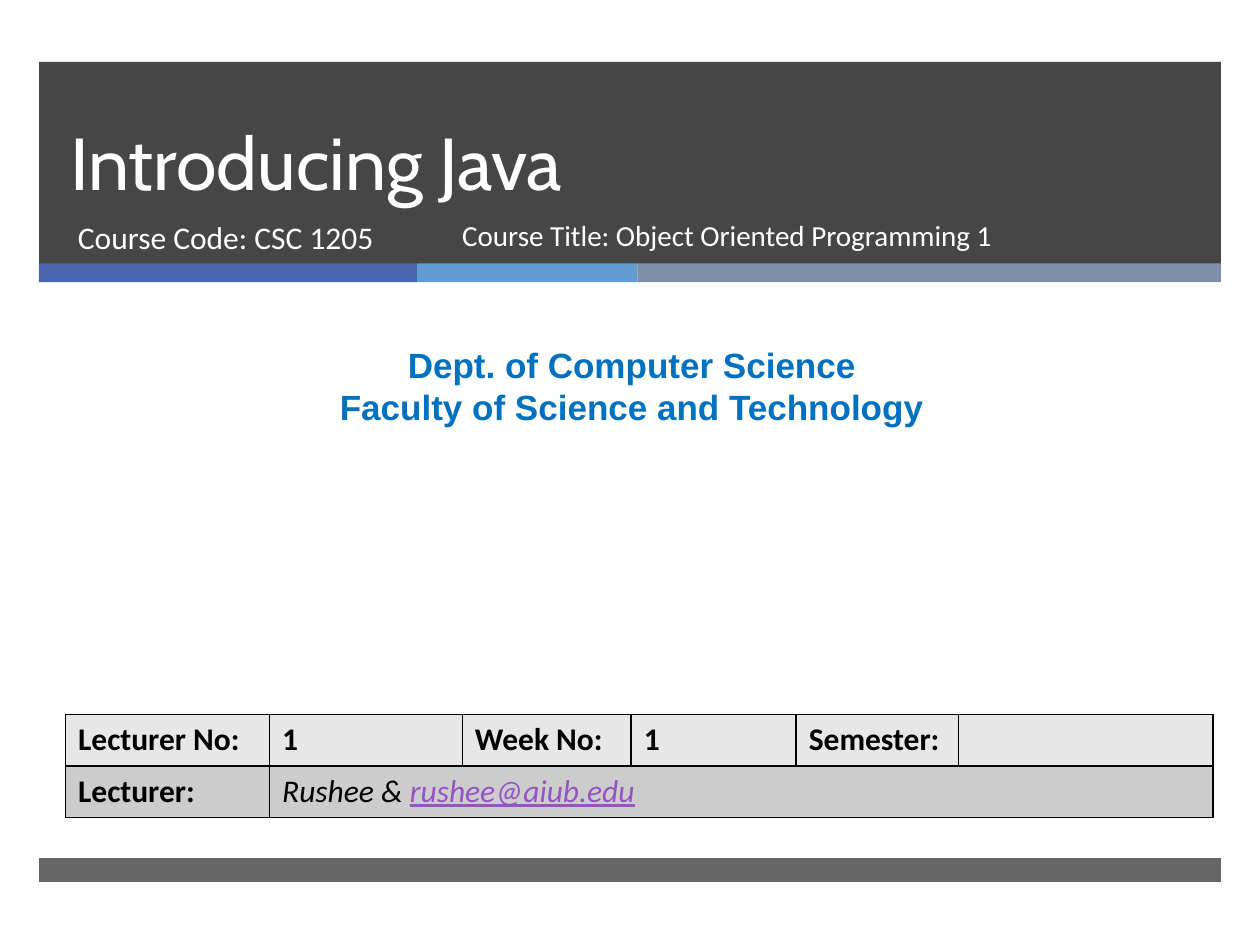
import pptx
import pptx.dml.color
import pptx.enum.shapes
import pptx.enum.text
import pptx.oxml
import pptx.oxml.ns
import pptx.util
from pptx.dml.color import RGBColor
from pptx.util import Inches

WHITE = RGBColor(0xFF, 0xFF, 0xFF)
BLACK = RGBColor(0x00, 0x00, 0x00)
CHARCOAL = RGBColor(0x26, 0x26, 0x26)
NAVY = RGBColor(0x4A, 0x66, 0xAC)
SKY = RGBColor(0x62, 0x9D, 0xD1)
SLATE = RGBColor(0x7F, 0x8F, 0xA9)
DEPT_BLUE = RGBColor(0x00, 0x70, 0xC0)
MAIL_PURPLE = RGBColor(0x94, 0x54, 0xC3)
ROW_FILLS = [RGBColor(0xE7, 0xE7, 0xE7), RGBColor(0xCC, 0xCC, 0xCC)]

LEFT, WIDTH = 0.31, 9.38
COLUMN_WIDTHS = [1.62, 1.53, 1.34, 1.31, 1.29, 2.02]
ROW_HEIGHT = 0.41
ROWS = [
    ["Lecturer No:", "1", "Week No:", "1", "Semester:", ""],
    ["Lecturer:"],
]


def add_band(s, left, top, width, height, color, opacity=100):
    band = s.shapes.add_shape(
        pptx.enum.shapes.MSO_SHAPE.RECTANGLE,
        Inches(left), Inches(top), Inches(width), Inches(height))
    band.shadow.inherit = False
    band.line.fill.background()
    band.fill.solid()
    band.fill.fore_color.rgb = color
    if opacity < 100:
        clr = band.fill._xPr.find(".//" + pptx.oxml.ns.qn("a:srgbClr"))
        clr.append(pptx.oxml.parse_xml(
            f'<a:alpha {pptx.oxml.ns.nsdecls("a")} val="{opacity * 1000}"/>'))


def style(font, name, size, color, bold=False):
    font.name, font.size, font.bold = name, pptx.util.Pt(size), bold
    font.color.rgb = color


def add_text(s, box, lines, name, size, color, bold=False, align=None):
    """Add a wrapped text box with one paragraph per line."""
    tf = s.shapes.add_textbox(*map(Inches, box)).text_frame
    tf.word_wrap = True
    tf.text = "\n".join(lines)
    for p in tf.paragraphs:
        p.alignment = align
        style(p.font, name, size, color, bold)
    return tf


def add_borders(cell):
    """Put a thin black line on each side, ahead of the cell's fill."""
    tcPr = cell._tc.get_or_add_tcPr()
    for i, side in enumerate(("lnL", "lnR", "lnT", "lnB")):
        tcPr.insert(i, pptx.oxml.parse_xml(
            f'<a:{side} {pptx.oxml.ns.nsdecls("a")} w="12700"><a:solidFill>'
            f'<a:srgbClr val="{BLACK}"/></a:solidFill></a:{side}>'))


def add_lecture_table(s):
    table = s.shapes.add_table(
        len(ROWS), len(COLUMN_WIDTHS), Inches(0.52), Inches(5.67),
        Inches(sum(COLUMN_WIDTHS)), Inches(ROW_HEIGHT * len(ROWS))).table
    for column, width in zip(table.columns, COLUMN_WIDTHS):
        column.width = Inches(width)
    for row, fill, texts in zip(table.rows, ROW_FILLS, ROWS):
        row.height = Inches(ROW_HEIGHT)
        for cell in row.cells:
            cell.fill.solid()
            cell.fill.fore_color.rgb = fill
            add_borders(cell)
        for cell, text in zip(row.cells, texts):
            cell.text = text
            style(cell.text_frame.paragraphs[0].font, "Calibri", 18, BLACK, True)

    contact = table.cell(1, 1)
    contact.merge(table.cell(1, 5))
    p = contact.text_frame.paragraphs[0]
    style(p.font, "Calibri", 18, BLACK)
    p.font.italic = True
    p.add_run().text = "Rushee & "
    r = p.add_run()
    r.text = "rushee@aiub.edu"
    r.font.color.rgb = MAIL_PURPLE
    r.font.underline = True


def main():
    prs = pptx.Presentation()
    prs.slide_width, prs.slide_height = Inches(10), Inches(7.5)
    s = prs.slides.add_slide(prs.slide_layouts[6])

    add_band(s, LEFT, 0.49, WIDTH, 1.61, CHARCOAL, 85)
    left = LEFT
    for width, color in [(3, NAVY), (1.75, SKY), (4.63, SLATE)]:
        add_band(s, left, 2.09, width, 0.15, color)
        left += width
    add_band(s, LEFT, 6.81, WIDTH, 0.19, CHARCOAL, 70)

    title = add_text(s, (0.46, 0.49, 8.54, 1.19), ["Introducing Java"],
                     "Cabin", 42, WHITE)
    title.vertical_anchor = pptx.enum.text.MSO_ANCHOR.BOTTOM
    title.paragraphs[0].line_spacing = pptx.util.Pt(46)
    add_text(s, (0.52, 1.68, 3.05, 0.53), ["Course Code: CSC 1205"],
             "Calibri", 18, WHITE)
    add_text(s, (3.57, 1.68, 4.61, 0.53),
             ["Course Title: Object Oriented Programming 1"],
             "Calibri", 16.6, WHITE)
    add_text(s, (0.08, 2.68, 9.87, 0.77),
             ["Dept. of Computer Science", "Faculty of Science and Technology"],
             "Arial", 20, DEPT_BLUE, True, pptx.enum.text.PP_ALIGN.CENTER)
    add_lecture_table(s)
    prs.save("out.pptx")


if __name__ == "__main__":
    main()
